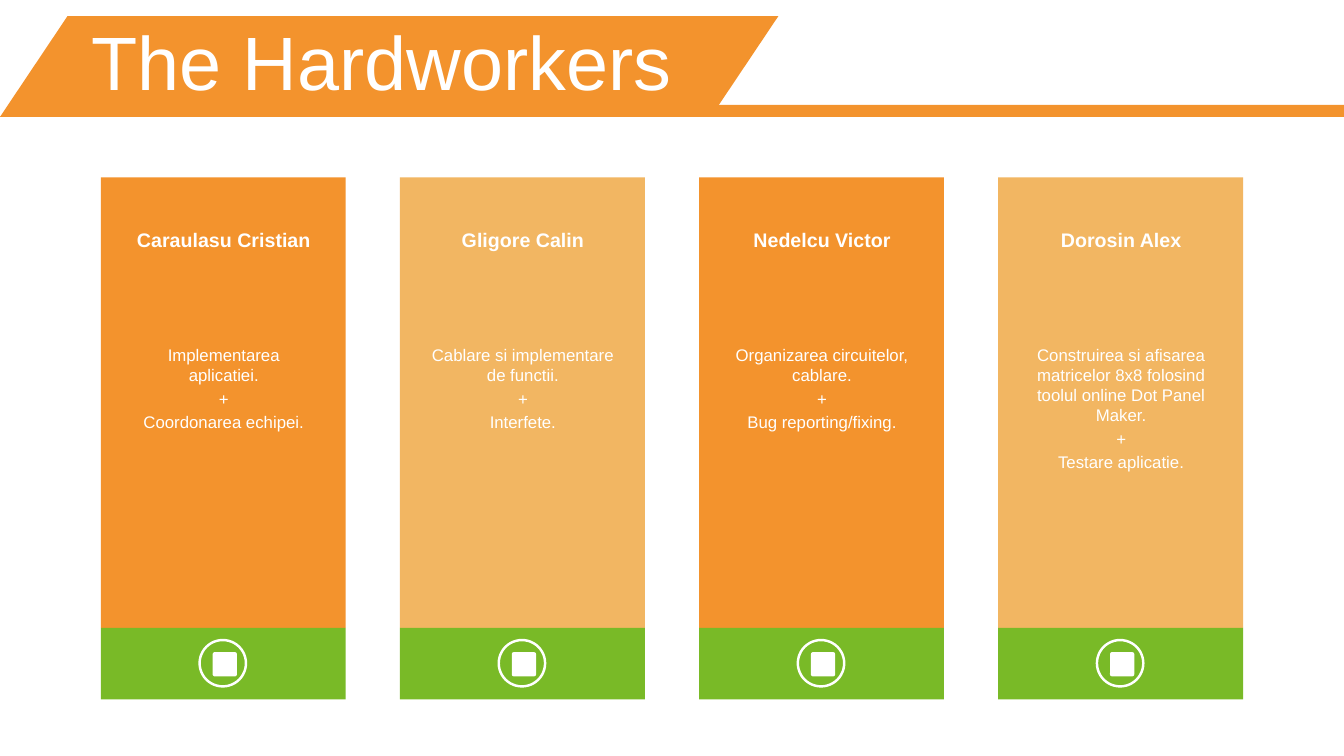
from pptx import Presentation
from pptx.dml.color import RGBColor
from pptx.enum.shapes import MSO_SHAPE
from pptx.enum.text import MSO_ANCHOR, PP_ALIGN
from pptx.util import Inches, Pt

ORANGE = RGBColor(0xF3, 0x93, 0x2D)
LIGHT_ORANGE = RGBColor(0xF2, 0xB6, 0x62)
GREEN = RGBColor(0x79, 0xBA, 0x27)
WHITE = RGBColor(0xFF, 0xFF, 0xFF)

FIRST_CARD_LEFT = 1
CARD_PITCH = 8.9 / 3
CARD_WIDTH = 2.43

MEMBERS = [
    ("Caraulasu Cristian",
     ["Implementarea aplicatiei.", "+", "Coordonarea echipei."]),
    ("Gligore Calin",
     ["Cablare si implementare de functii.", "+", "Interfete."]),
    ("Nedelcu Victor",
     ["Organizarea circuitelor, cablare.", "+", "Bug reporting/fixing."]),
    ("Dorosin Alex",
     ["Construirea si afisarea matricelor 8x8 folosind toolul online "
      "Dot Panel Maker.", "+", "Testare aplicatie."]),
]


def add_block(slide, kind, left, top, width, height, fill=None, outline=None):
    block = slide.shapes.add_shape(
        kind, Inches(left), Inches(top), Inches(width), Inches(height))
    block.shadow.inherit = False
    if fill is None:
        block.fill.background()
    else:
        block.fill.solid()
        block.fill.fore_color.rgb = fill
    if outline is None:
        block.line.fill.background()
    else:
        block.line.color.rgb = outline
        block.line.width = Pt(1.75)
    return block


def add_text(slide, left, top, width, height, lines, size, space_before,
             bold=False, align=PP_ALIGN.CENTER, anchor=MSO_ANCHOR.TOP,
             line_spacing=None):
    frame = slide.shapes.add_textbox(
        Inches(left), Inches(top), Inches(width), Inches(height)).text_frame
    frame.word_wrap = True
    frame.vertical_anchor = anchor
    frame.text = "\n".join(lines)
    for paragraph in frame.paragraphs:
        paragraph.alignment = align
        paragraph.space_before = Pt(space_before)
        paragraph.line_spacing = line_spacing
        paragraph.font.name = "Arial"
        paragraph.font.size = Pt(size)
        paragraph.font.bold = bold
        paragraph.font.color.rgb = WHITE


def add_banner(slide, title):
    add_block(slide, MSO_SHAPE.RECTANGLE, 6.67, 1.04, 6.66, 0.12, ORANGE)
    ribbon = add_block(
        slide, MSO_SHAPE.PARALLELOGRAM, 0, 0.16, 7.72, 1, ORANGE)
    ribbon.adjustments[0] = 0.67
    add_text(slide, 0.81, 0.26, 12.24, 0.79, [title], 54, 10,
             align=PP_ALIGN.LEFT, anchor=MSO_ANCHOR.MIDDLE, line_spacing=0.9)


def add_member_card(slide, left, color, name, tasks):
    # Card body and footer
    add_block(slide, MSO_SHAPE.RECTANGLE, left, 1.76, CARD_WIDTH, 4.47, color)
    add_block(slide, MSO_SHAPE.RECTANGLE, left, 6.23, CARD_WIDTH, 0.71, GREEN)
    # Name and tasks
    add_text(slide, left + 0.2, 2.21, 2.04, 1.02, [name], 14, 2.8, bold=True)
    add_text(slide, left + 0.2, 3.37, 2.04, 2.6, tasks, 12, 2.4)
    # Round badge with a plain symbol
    add_block(slide, MSO_SHAPE.OVAL, left + 0.98, 6.35, 0.46, 0.46,
              outline=WHITE)
    symbol = add_block(slide, MSO_SHAPE.ROUNDED_RECTANGLE,
                       left + 1.11, 6.47, 0.24, 0.24, WHITE)
    symbol.adjustments[0] = 0.08


def main():
    presentation = Presentation()
    presentation.slide_width = Inches(13.33)
    presentation.slide_height = Inches(7.5)
    slide = presentation.slides.add_slide(presentation.slide_layouts[6])

    add_banner(slide, "The Hardworkers")
    for index, (name, tasks) in enumerate(MEMBERS):
        color = LIGHT_ORANGE if index % 2 else ORANGE
        add_member_card(slide, FIRST_CARD_LEFT + index * CARD_PITCH,
                        color, name, tasks)

    presentation.save("out.pptx")


if __name__ == "__main__":
    main()
